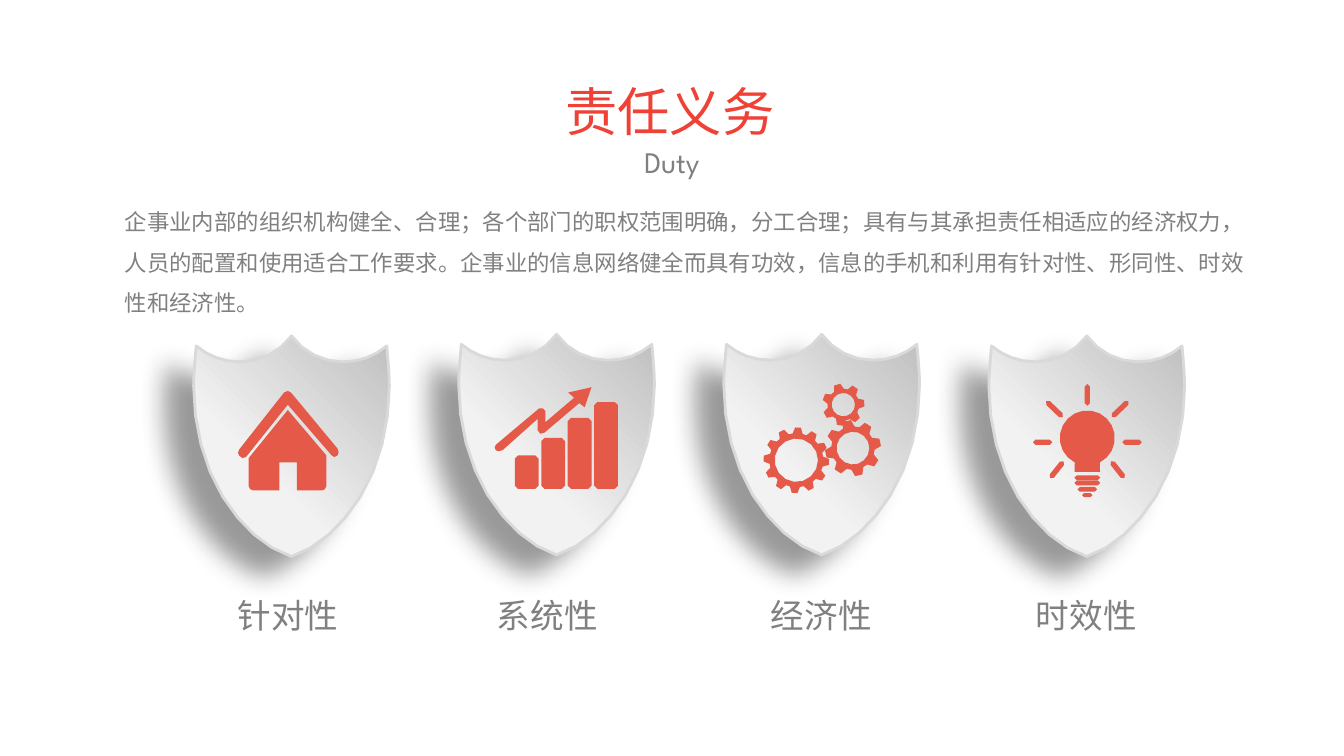
"""Build the duty slide with four shield icons."""
from math import atan2, cos, pi, radians, sin

from lxml import etree
from pptx import Presentation
from pptx.dml.color import RGBColor
from pptx.enum.text import MSO_AUTO_SIZE, PP_ALIGN
from pptx.oxml.ns import qn
from pptx.util import Cm, Pt

LEFT = PP_ALIGN.LEFT
CENTER = PP_ALIGN.CENTER
GROW = MSO_AUTO_SIZE.SHAPE_TO_FIT_TEXT
LATIN_FONT = "League Spartan"
CHINESE_FONT = "Noto Sans CJK SC"
COLORS = {
    "title": "EF4136",
    "text": "808080",
    "icon": "E55948",
    "light": "F2F2F2",
    "dark": "BFBFBF",
    "edge": "D9D9D9",
    "shadow": "000000",
}

presentation = Presentation()
presentation.slide_width = Cm(25.4)
presentation.slide_height = Cm(14.29)
slide = presentation.slides.add_slide(presentation.slide_layouts[6])


def add_text(text, left, top, width, height, size, color="text",
             font=LATIN_FONT, align=LEFT, wrap=False, spacing=None):
    box = slide.shapes.add_textbox(Cm(left), Cm(top), Cm(width), Cm(height))
    frame = box.text_frame
    frame.word_wrap = wrap
    frame.auto_size = GROW
    paragraph = frame.paragraphs[0]
    paragraph.alignment = align
    paragraph.line_spacing = spacing
    run = paragraph.add_run()
    run.text = text
    run.font.size = Pt(size)
    run.font.name = font
    run.font.color.rgb = RGBColor.from_string(COLORS[color])
    etree.SubElement(run._r.get_or_add_rPr(), qn("a:ea"), typeface=CHINESE_FONT)


def add_outline(contours):
    builder = None
    for contour in contours:
        points = [(Cm(x), Cm(y)) for x, y in contour]
        if builder is None:
            builder = slide.shapes.build_freeform(*points[0])
        else:
            builder.move_to(*points[0])
        builder.add_line_segments(points[1:], close=True)
    shape = builder.convert_to_shape()
    shape.shadow.inherit = False
    shape.fill.solid()
    shape.fill.fore_color.rgb = RGBColor.from_string(COLORS["icon"])
    shape.line.fill.background()
    return shape


add_text("责任义务", 10.44, 1.37, 4.5, 1.45, 28, color="title")
add_text("Duty", 9.5, 2.59, 6.4, 0.94, 16, align=CENTER, wrap=True)
add_text(
    "企事业内部的组织机构健全、合理；各个部门的职权范围明确，分工合理；"
    "具有与其承担责任相适应的经济权力，人员的配置和使用适合工作要求。"
    "企事业的信息网络健全而具有功效，信息的手机和利用有针对性、形同性、"
    "时效性和经济性。",
    2.11, 3.56, 22, 2.44, 12, font=CHINESE_FONT, wrap=True, spacing=1.5)

shield_curves = [
    ((0.23, 0.31), (0.58, 0.49), (0.97, 0.49)),
    ((1.3, 0.49), (1.57, 0.38), (1.8, 0.19)),
    ((1.82, 0.41), (1.85, 0.74), (1.85, 0.95)),
    ((1.85, 1.7), (1.66, 2.45), (1.3, 3.04)),
    ((0.95, 3.6), (0.5, 4.01), (0, 4.17)),
]
half_shield = [(0, 0)]
for curve in shield_curves:
    controls = [half_shield[-1], *curve]
    for step in range(1, 5):
        t = step / 4
        weights = ((1 - t) ** 3, 3 * t * (1 - t) ** 2, 3 * t * t * (1 - t), t ** 3)
        half_shield.append(tuple(
            sum(weight * point[axis] for weight, point in zip(weights, controls))
            for axis in (0, 1)))
shield = half_shield + [(-x, y) for x, y in half_shield[-2:0:-1]]

house = [
    [(5.44, 7.75), (6.17, 8.61), (6.17, 9.19), (6.14, 9.25), (6.08, 9.27),
     (5.61, 9.27), (5.61, 8.74), (5.28, 8.74), (5.28, 9.27), (4.79, 9.27),
     (4.73, 9.25), (4.7, 9.19), (4.7, 8.66)],
    [(5.44, 7.39), (5.5, 7.42), (6.38, 8.48), (6.4, 8.55), (6.38, 8.61),
     (6.32, 8.64), (6.27, 8.61), (5.44, 7.65), (4.65, 8.64), (4.58, 8.66),
     (4.52, 8.61), (4.5, 8.56), (4.52, 8.5), (5.37, 7.42)],
]

growth = []
for index, top in enumerate((8.61, 8.28, 7.9, 7.6)):
    left, bottom, corner = 9.73 + 0.5 * index, 9.24, 0.06
    right = left + 0.45
    growth.append([
        (left + corner, top), (right - corner, top), (right, top + corner),
        (right, bottom - corner), (right - corner, bottom), (left + corner, bottom),
        (left, bottom - corner), (left, top + corner)])
growth.append([
    (11.18, 7.32), (11.05, 7.7), (10.95, 7.62), (10.29, 8.18), (10.21, 8.2),
    (10.16, 8.13), (10.16, 7.92), (9.5, 8.51), (9.42, 8.53), (9.37, 8.51),
    (9.35, 8.46), (9.37, 8.41), (10.19, 7.72), (10.26, 7.72), (10.31, 7.77),
    (10.31, 7.98), (10.85, 7.52), (10.74, 7.42)])

gears = []
for x, y, outer, root, hole, teeth, phase in (
        (15.05, 8.7, 0.62, 0.51, 0.41, 12, -87),
        (16.12, 8.47, 0.53, 0.41, 0.31, 8, -12),
        (15.94, 7.65, 0.4, 0.3, 0.22, 7, -4)):
    rim = []
    for tooth in range(teeth):
        for offset, radius in ((-0.36, root), (-0.17, outer), (0.17, outer), (0.36, root)):
            angle = radians(phase) + 2 * pi * (tooth + offset) / teeth
            rim.append((x + radius * cos(angle), y + radius * sin(angle)))
    opening = [(x + hole * cos(radians(turn)), y + hole * sin(radians(turn)))
               for turn in range(0, 360, 24)]
    gears.append([rim, opening])

bulb_x, bulb_y = 20.55, 8.28
bulb = [[(bulb_x - 0.24, 8.92)]
        + [(bulb_x + 0.52 * cos(radians(turn)), bulb_y + 0.52 * sin(radians(turn)))
           for turn in range(117, 424, 18)]
        + [(bulb_x + 0.24, 8.92)]]
strokes = [(0, 7.31, 0, 7.62, 0.1)]
for half, y, width in ((0.2, 9.03, 0.09), (0.2, 9.13, 0.09), (0.14, 9.25, 0.09), (0.06, 9.36, 0.08)):
    strokes.append((-half, y, half, y, width))
for side in (-1, 1):
    for near_x, near_y, far_x, far_y in (
            (0.5, 7.85, 0.74, 7.62), (0.71, 8.36, 0.98, 8.36), (0.48, 8.76, 0.67, 9)):
        strokes.append((side * near_x, near_y, side * far_x, far_y, 0.1))
for x1, y1, x2, y2, width in strokes:
    heading = atan2(y2 - y1, x2 - x1)
    bulb.append([
        (bulb_x + x + width / 2 * cos(heading + radians(start + turn)),
         y + width / 2 * sin(heading + radians(start + turn)))
        for x, y, start in ((x2, y2, -90), (x1, y1, 90)) for turn in (0, 90, 180)])

columns = [
    (6.35, [house], "针对性", 4.24),
    (6.32, [growth], "系统性", 9.14),
    (6.32, gears, "经济性", 14.32),
    (6.35, [bulb], "时效性", 19.33),
]
for index, (top, icons, label, label_left) in enumerate(columns):
    center = 5.51 + 5.01 * index
    shape = add_outline([[(center + x, top + y) for x, y in shield]])
    shape.fill.gradient()
    shape.fill.gradient_angle = 45
    for stop, position, color in zip(shape.fill.gradient_stops, (0.36, 1), ("light", "dark")):
        stop.position = position
        stop.color.rgb = RGBColor.from_string(COLORS[color])
    shape.line.color.rgb = RGBColor.from_string(COLORS["edge"])
    shape.line.width = Pt(1.5)
    effects = shape._element.spPr.find(qn("a:effectLst"))
    shadow = etree.SubElement(
        effects, qn("a:outerShdw"), blurRad=str(Pt(14)), dist=str(Pt(18)),
        dir=str(147 * 60000), algn="ctr", rotWithShape="0")
    shade = etree.SubElement(shadow, qn("a:srgbClr"), val=COLORS["shadow"])
    etree.SubElement(shade, qn("a:alpha"), val="40000")
    for contours in icons:
        add_outline(contours)
    add_text(label, label_left, 11.13, 2.44, 1.02, 18)

presentation.save("out.pptx")
